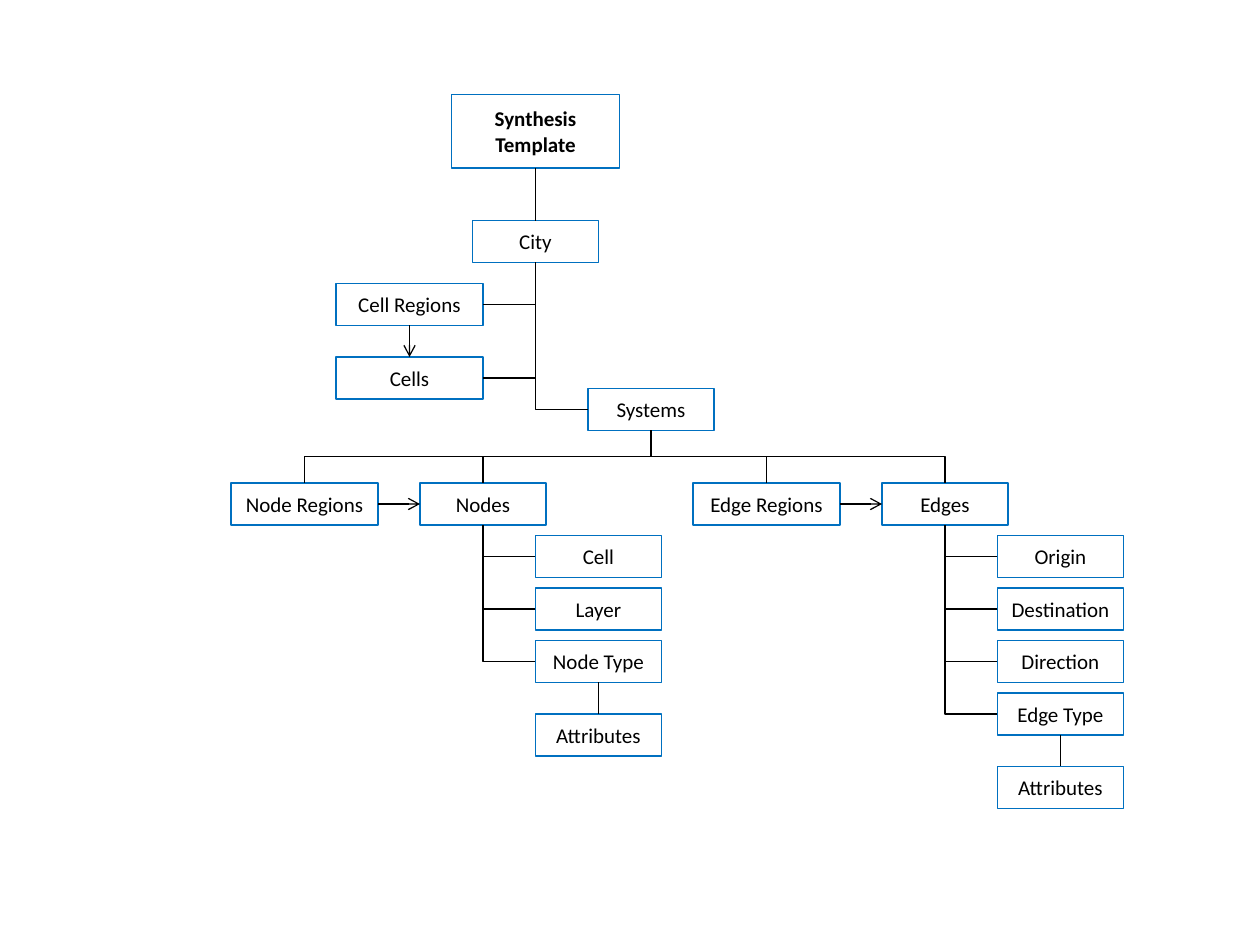
from lxml import etree
from pptx import Presentation
from pptx.dml.color import RGBColor
from pptx.enum.shapes import MSO_CONNECTOR as Link, MSO_SHAPE as Preset
from pptx.enum.text import MSO_ANCHOR as Anchor, PP_ALIGN as Align
from pptx.oxml.ns import qn
from pptx.util import Pt

TOP, LEFT, BOTTOM, RIGHT = range(4)


def color(hex_string):
    return RGBColor.from_string(hex_string)


class Diagram:
    font = "Calibri"
    size = 12
    ink = "000000"
    paper = "FFFFFF"
    border = "0070C0"

    def __init__(self, slide):
        self.slide = slide

    def box(self, text, x, y, width=72, height=24, bold=False):
        shape = self.slide.shapes.add_shape(
            Preset.RECTANGLE, Pt(x), Pt(y), Pt(width), Pt(height))
        shape.shadow.inherit = False
        shape.fill.solid()
        shape.fill.fore_color.rgb = color(self.paper)
        shape.line.color.rgb = color(self.border)
        shape.line.width = Pt(1)
        frame = shape.text_frame
        frame.word_wrap = True
        frame.vertical_anchor = Anchor.MIDDLE
        paragraph = frame.paragraphs[0]
        paragraph.alignment = Align.CENTER
        run = paragraph.add_run()
        run.text = text
        run.font.name = self.font
        run.font.size = Pt(self.size)
        run.font.bold = bold
        run.font.color.rgb = color(self.ink)
        return shape

    def connector(self, kind, begin, end):
        line = self.slide.shapes.add_connector(kind, *begin, *end)
        line.line.color.rgb = color(self.ink)
        line.line.width = Pt(0.75)
        etree.SubElement(line._element.spPr, qn("a:effectLst"))
        return line

    def straight(self, start, start_side, finish, finish_side, arrow=False):
        line = self.connector(Link.STRAIGHT, (0, 0), (0, 0))
        line.begin_connect(start, start_side)
        line.end_connect(finish, finish_side)
        if arrow:
            outline = line._element.spPr.find(qn("a:ln"))
            etree.SubElement(outline, qn("a:tailEnd"), type="arrow")

    def branch(self, child, parent):
        """One bend: from the child's near side up to the parent's bottom."""
        trunk = parent.left + parent.width // 2
        side = child.left if child.left >= trunk else child.left + child.width
        line = self.connector(
            Link.ELBOW, (side, child.top + child.height // 2),
            (trunk, parent.top + parent.height))
        line._element.spPr.find(qn("a:prstGeom")).set("prst", "bentConnector2")

    def fork(self, child, parent):
        """Two bends: from the child's top to the parent's bottom."""
        x1, y1 = child.left + child.width // 2, child.top
        x2, y2 = parent.left + parent.width // 2, parent.top + parent.height
        middle_x, middle_y = (x1 + x2) // 2, (y1 + y2) // 2
        # The frame is turned a quarter, so its half extents change places
        turn = 1 if x1 < x2 else -1
        half_width, half_height = turn * (y1 - y2) // 2, abs(x2 - x1) // 2
        line = self.connector(
            Link.ELBOW, (middle_x + half_width, middle_y + half_height),
            (middle_x - half_width, middle_y - half_height))
        angle = 90 if turn == 1 else 270
        line._element.spPr.find(qn("a:xfrm")).set("rot", str(angle * 60000))


def add_family(diagram, systems, name, x, fields):
    """A system part with its regions, fields and type attributes."""
    y, step = 276, 30
    part = diagram.box(f"{name}s", x, y)
    regions = diagram.box(f"{name} Regions", x - 108, y, width=84)
    diagram.straight(regions, RIGHT, part, LEFT, arrow=True)
    for member in (regions, part):
        diagram.fork(member, systems)

    for row, label in enumerate(fields, start=1):
        field = diagram.box(label, x + 66, y + row * step)
        diagram.branch(field, part)
    attributes = diagram.box("Attributes", x + 66, y + len(fields) * step + 42)
    diagram.straight(field, BOTTOM, attributes, TOP)


def main():
    deck = Presentation()
    deck.slide_width, deck.slide_height = Pt(720), Pt(540)
    diagram = Diagram(deck.slides.add_slide(deck.slide_layouts[6]))

    # Root and city
    template = diagram.box("Synthesis Template", 258, 54, 96, 42, bold=True)
    city = diagram.box("City", 270, 126)
    diagram.straight(template, BOTTOM, city, TOP)

    # Parts of the city
    cell_regions = diagram.box("Cell Regions", 192, 162, width=84)
    cells = diagram.box("Cells", 192, 204, width=84)
    systems = diagram.box("Systems", 336, 222)
    for part in (cell_regions, cells, systems):
        diagram.branch(part, city)
    diagram.straight(cell_regions, BOTTOM, cells, TOP, arrow=True)

    # Parts of the systems
    add_family(diagram, systems, "Node", 240, ["Cell", "Layer", "Node Type"])
    add_family(diagram, systems, "Edge", 504,
               ["Origin", "Destination", "Direction", "Edge Type"])

    deck.save("out.pptx")


if __name__ == "__main__":
    main()
